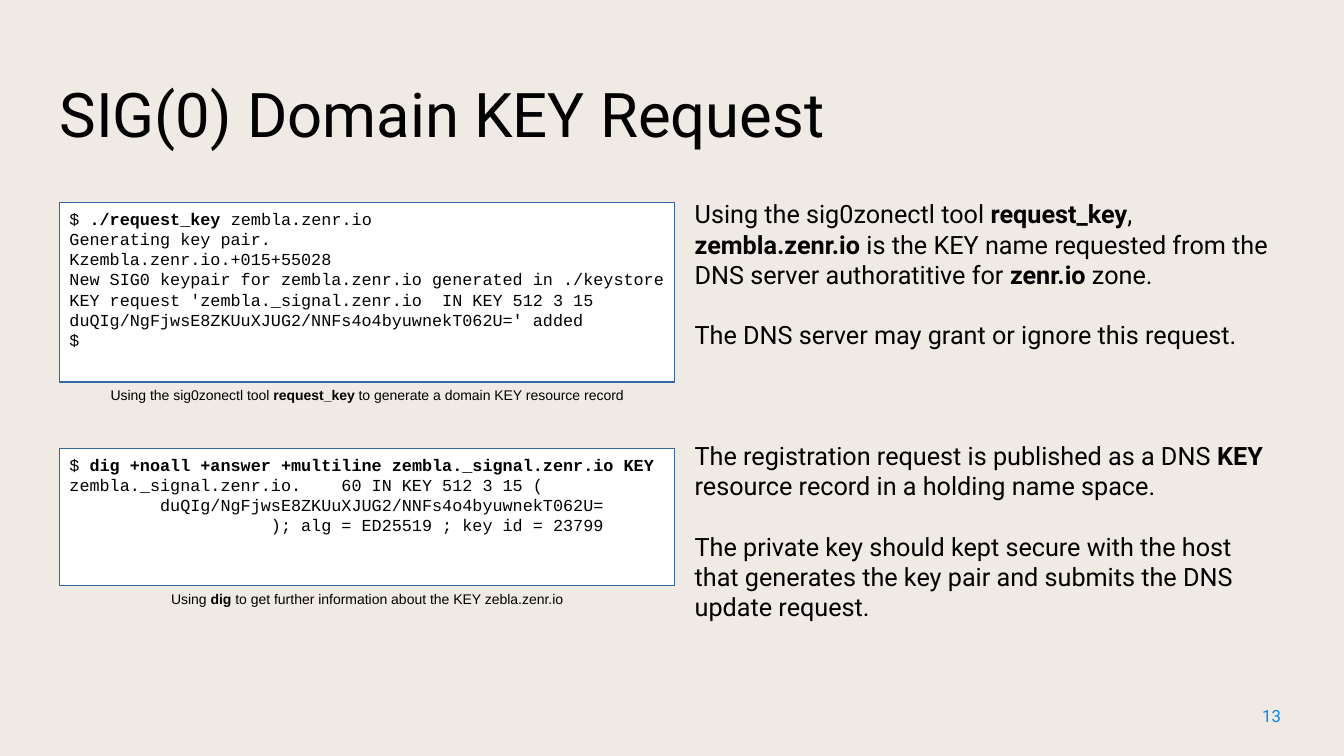
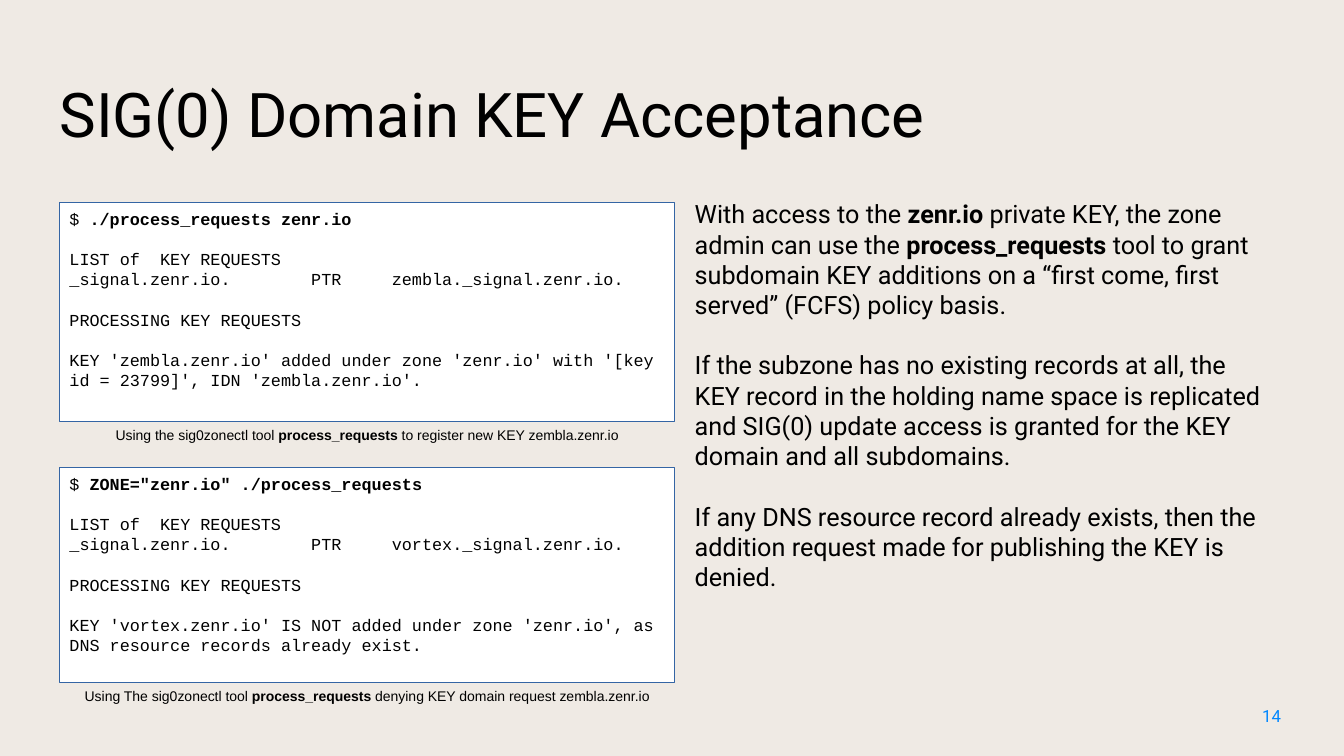
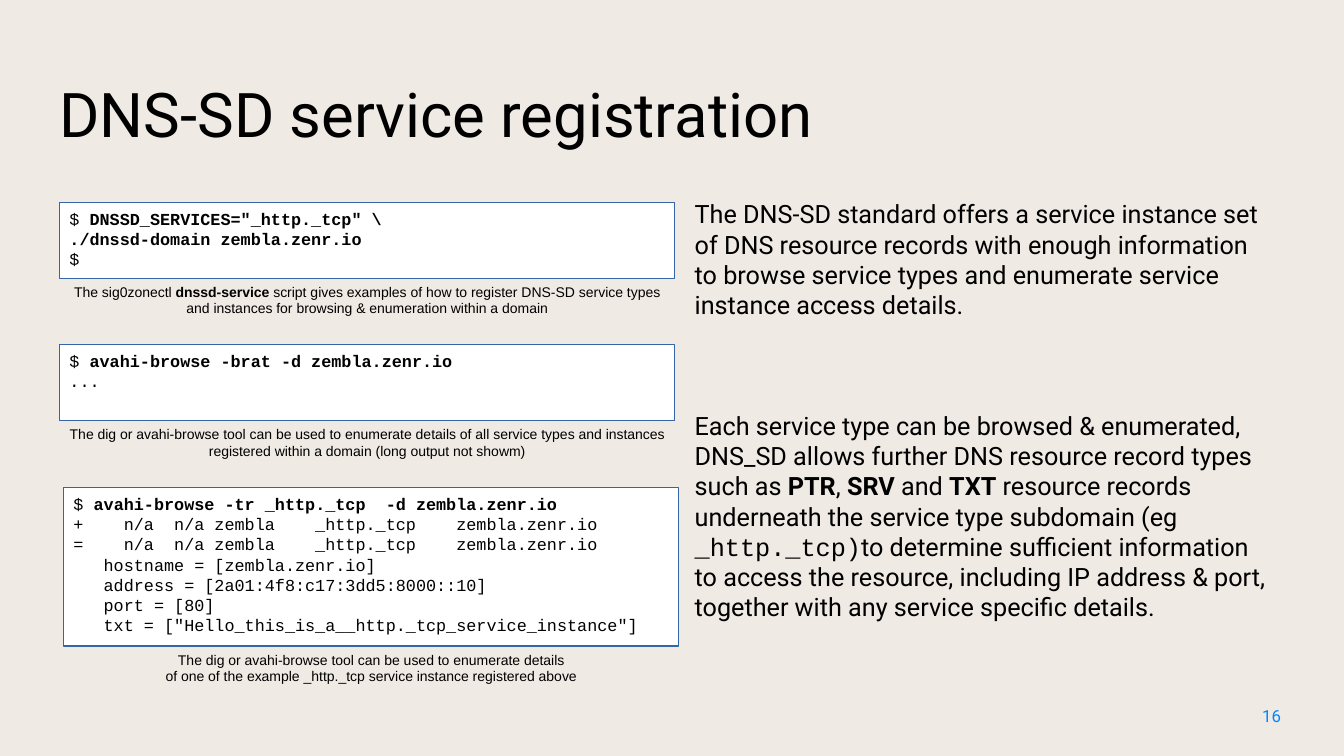
from collections import namedtuple

from pptx import Presentation
from pptx import util as u
from pptx.dml.color import RGBColor
from pptx.enum import shapes, text

Style = namedtuple("Style", "font size color line_height")


def color(hex_string):
    return RGBColor.from_string(hex_string)


class Deck:
    """Shared style and current slide; lengths are percent of the slide's size."""

    WIDTH, HEIGHT = 13.33, 7.5
    PAPER, WHITE, INK, BORDER, ACCENT = "EFEAE4", "FFFFFF", "000000", "3465A4", "0087FF"
    LEFT, RIGHT = 4.43, 51.69
    CODE_WIDTH, BODY_WIDTH, TITLE_WIDTH = 45.76, 42.91, 88.67
    FIRST_ROW = 26.8
    MONO = "Courier New"

    # Line height in points sets the gap that a blank line stands for
    TITLE = Style("Roboto", 44, INK, 52.8)
    BODY = Style("Roboto", 18, INK, 21.6)
    CODE = Style(MONO, 12, INK, 14.4)
    CAPTION = Style("Arial", 10, INK, 12)
    NUMBER = Style("Roboto", 12, ACCENT, 14.4)

    def __init__(self):
        self.presentation = Presentation()
        self.presentation.slide_width = u.Inches(self.WIDTH)
        self.presentation.slide_height = u.Inches(self.HEIGHT)
        fill = self.presentation.slide_master.background.fill
        fill.solid()
        fill.fore_color.rgb = color(self.PAPER)
        self.slide = None

    def place(self, x, y, width, height):
        return (u.Inches(self.WIDTH * x / 100), u.Inches(self.HEIGHT * y / 100),
                u.Inches(self.WIDTH * width / 100), u.Inches(self.HEIGHT * height / 100))

    def fill_text(self, shape, content, style, margins=(0, 0), align=text.PP_ALIGN.LEFT,
                  anchor=text.MSO_ANCHOR.TOP):
        """**bold**, `monospaced`; blank lines become space before a paragraph."""
        frame = shape.text_frame
        frame.word_wrap = True
        frame.vertical_anchor = anchor
        frame.margin_left = frame.margin_right = u.Inches(margins[0])
        frame.margin_top = frame.margin_bottom = u.Inches(margins[1])
        blanks, paragraph = 0, None
        for line in content.strip("\n").split("\n"):
            if not line:
                blanks += 1
                continue
            paragraph = frame.add_paragraph() if paragraph else frame.paragraphs[0]
            paragraph.alignment = align
            if blanks:
                paragraph.space_before = u.Pt(blanks * style.line_height)
                blanks = 0
            self.add_runs(paragraph, line, style)

    def add_runs(self, paragraph, line, style):
        for bold_index, part in enumerate(line.split("**")):
            for mono_index, words in enumerate(part.split("`")):
                if not words:
                    continue
                run = paragraph.add_run()
                run.text = words
                run.font.name = self.MONO if mono_index % 2 else style.font
                run.font.size = u.Pt(style.size)
                run.font.bold = bold_index % 2 == 1
                run.font.color.rgb = color(style.color)

    def text_box(self, x, y, width, height, content, style, **options):
        shape = self.slide.shapes.add_textbox(*self.place(x, y, width, height))
        self.fill_text(shape, content, style, **options)

    def new_slide(self, title, number):
        self.slide = self.presentation.slides.add_slide(self.presentation.slide_layouts[6])
        self.text_box(self.LEFT, 5.33, self.TITLE_WIDTH, 19.33, title, self.TITLE,
                      anchor=text.MSO_ANCHOR.MIDDLE)
        self.text_box(93.17, 92.67, 4.65, 5.33, str(number), self.NUMBER, margins=(0.1, 0.05))

    def body(self, content):
        self.text_box(self.RIGHT, 26.27, self.BODY_WIDTH, 62.67, content, self.BODY)

    def code(self, y, height, content, caption, caption_lines=1, x=LEFT):
        """White code panel with its caption directly below."""
        panel = self.slide.shapes.add_shape(
            shapes.MSO_SHAPE.RECTANGLE, *self.place(x, y, self.CODE_WIDTH, height))
        panel.shadow.inherit = False
        panel.fill.solid()
        panel.fill.fore_color.rgb = color(self.WHITE)
        panel.line.color.rgb = color(self.BORDER)
        panel.line.width = u.Pt(0.85)
        self.fill_text(panel, content, self.CODE, margins=(0.1, 0.06))
        self.text_box(x, y + height, self.CODE_WIDTH, 1.2 + 2.13 * caption_lines, caption,
                      self.CAPTION, margins=(0.1, 0.05), align=text.PP_ALIGN.CENTER)


def main():
    deck = Deck()

    # Key request
    deck.new_slide("SIG(0) Domain KEY Request", 13)
    deck.body("""
Using the sig0zonectl tool **request_key**, **zembla.zenr.io** is the KEY name requested from the DNS server authoratitive for **zenr.io** zone.

The DNS server may grant or ignore this request.



The registration request is published as a DNS **KEY** resource record in a holding name space.

The private key should kept secure with the host that generates the key pair and submits the DNS update request.
""")
    deck.code(deck.FIRST_ROW, 23.73, """
$ **./request_key** zembla.zenr.io
Generating key pair.
Kzembla.zenr.io.+015+55028
New SIG0 keypair for zembla.zenr.io generated in ./keystore
KEY request 'zembla._signal.zenr.io  IN KEY 512 3 15 duQIg/NgFjwsE8ZKUuXJUG2/NNFs4o4byuwnekT062U=' added
$
""", "Using the sig0zonectl tool **request_key** to generate a domain KEY resource record")
    deck.code(59.33, 18.13, """
$ **dig +noall +answer +multiline zembla._signal.zenr.io KEY**
zembla._signal.zenr.io.    60 IN KEY 512 3 15 (
         duQIg/NgFjwsE8ZKUuXJUG2/NNFs4o4byuwnekT062U=
                    ); alg = ED25519 ; key id = 23799
""", "Using **dig** to get further information about the KEY zebla.zenr.io")

    # Key acceptance
    deck.new_slide("SIG(0) Domain KEY Acceptance", 14)
    deck.body("""
With access to the **zenr.io** private KEY, the zone admin can use the **process_requests** tool to grant subdomain KEY additions on a “first come, first served” (FCFS) policy basis.

If the subzone has no existing records at all, the KEY record in the holding name space is replicated and SIG(0) update access is granted for the KEY domain and all subdomains.

If any DNS resource record already exists, then the addition request made for publishing the KEY is denied.
""")
    listing = """
$ **{command}**

LIST of  KEY REQUESTS
_signal.zenr.io.        PTR     {host}._signal.zenr.io.

PROCESSING KEY REQUESTS

KEY '{host}.zenr.io' {result}
"""
    deck.code(deck.FIRST_ROW, 28.93, listing.format(
        command="./process_requests zenr.io", host="zembla",
        result="added under zone 'zenr.io' with '[key id = 23799]', IDN 'zembla.zenr.io'."),
        "Using the sig0zonectl tool **process_requests** to register new KEY zembla.zenr.io")
    deck.code(61.87, 28.4, listing.format(
        command='ZONE="zenr.io" ./process_requests', host="vortex",
        result="IS NOT added under zone 'zenr.io', as DNS resource records already exist."),
        "Using The sig0zonectl tool **process_requests** denying KEY domain request zembla.zenr.io")

    # Service registration
    deck.new_slide("DNS-SD service registration", 16)
    deck.body("""
The DNS-SD standard offers a service instance set of DNS resource records with enough information to browse service types and enumerate service instance access details.



Each service type can be browsed & enumerated, DNS_SD allows further DNS resource record types such as **PTR**, **SRV** and **TXT** resource records underneath the service type subdomain (eg `_http._tcp)`to determine sufficient information to access the resource, including IP address & port, together with any service specific details.
""")
    deck.code(deck.FIRST_ROW, 10, """
$ **DNSSD_SERVICES="_http._tcp" \\**
**./dnssd-domain zembla.zenr.io**
$
""", "The sig0zonectl **dnssd-service** script gives examples of how to register DNS-SD service types "
     "and instances for browsing & enumeration within a domain", 2)
    deck.code(45.6, 10, """
$ **avahi-browse -brat -d zembla.zenr.io**
...
""", "The dig or avahi-browse tool can be used to enumerate details of all service types and "
     "instances registered within a domain (long output not showm)", 2)
    deck.code(64.53, 20.93, """
$ **avahi-browse -tr _http._tcp  -d zembla.zenr.io**
+    n/a  n/a zembla    _http._tcp    zembla.zenr.io
=    n/a  n/a zembla    _http._tcp    zembla.zenr.io
   hostname = [zembla.zenr.io]
   address = [2a01:4f8:c17:3dd5:8000::10]
   port = [80]
   txt = ["Hello_this_is_a__http._tcp_service_instance"]
""", "The dig or avahi-browse tool can be used to enumerate details\n"
     "of one of the example _http._tcp service instance registered above", 2, x=4.73)

    deck.presentation.save("out.pptx")


if __name__ == "__main__":
    main()
